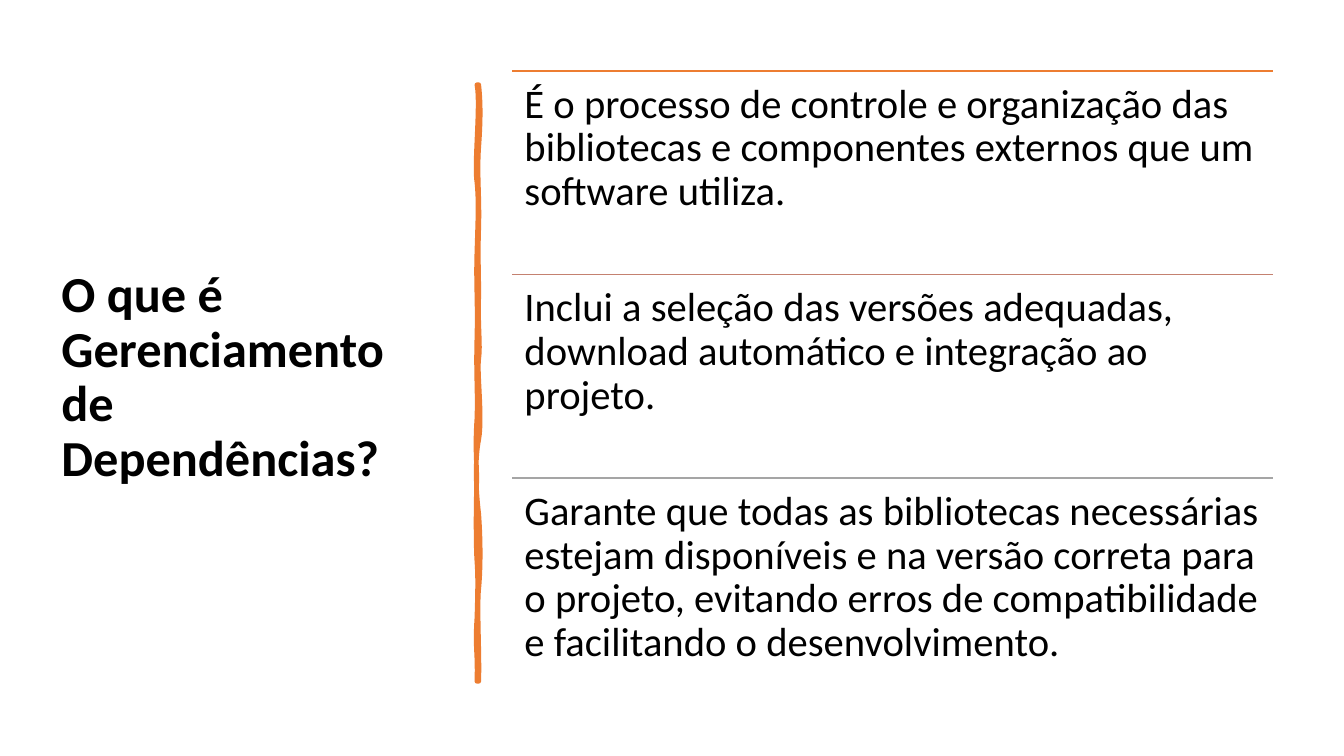
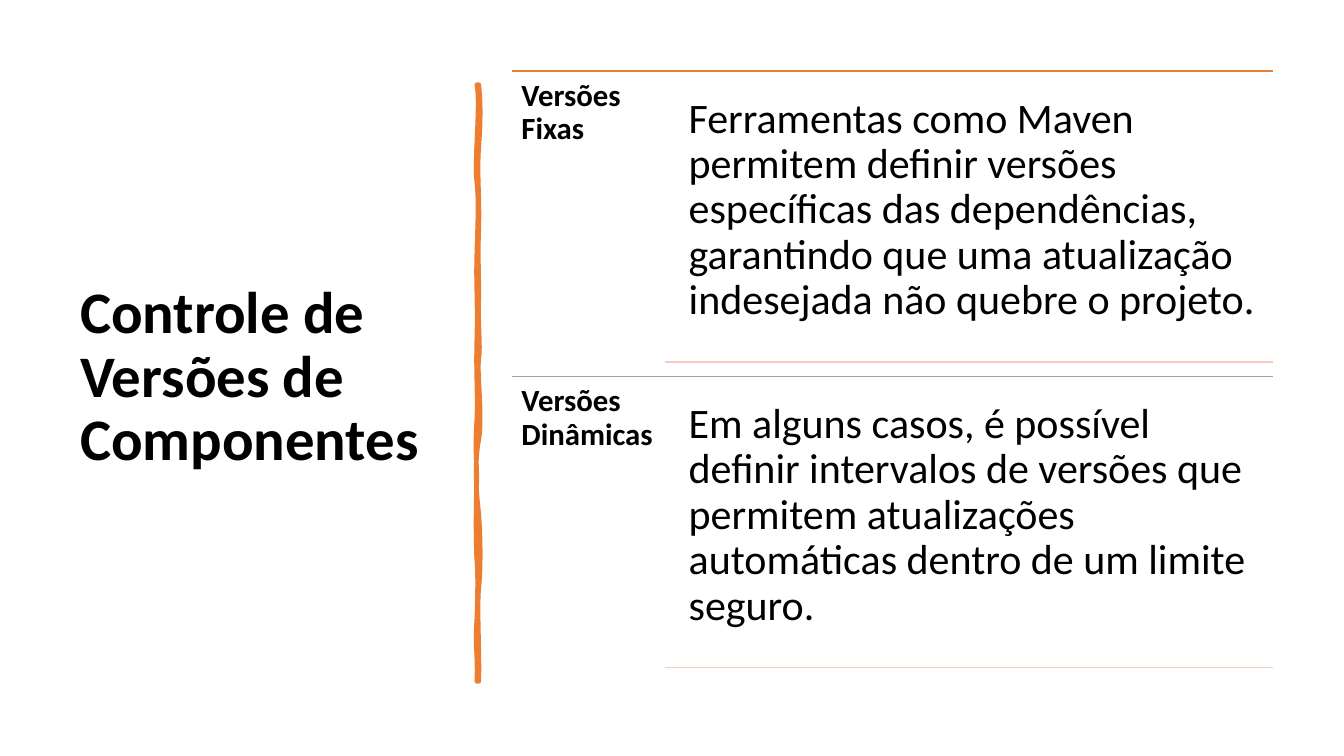
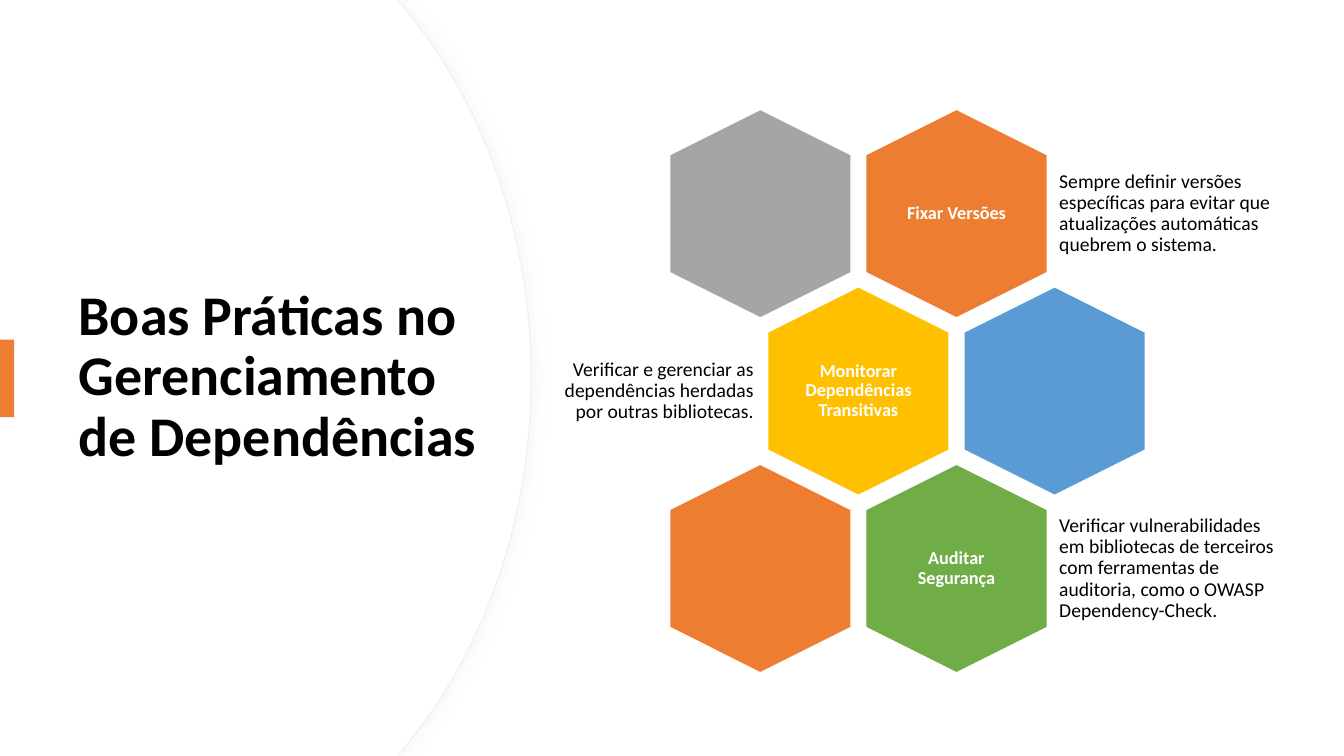
from dataclasses import dataclass
from typing import Optional

from lxml.etree import SubElement
from pptx import Presentation
from pptx.dml.color import RGBColor
from pptx.enum.shapes import MSO_CONNECTOR as Connector
from pptx.enum.shapes import MSO_SHAPE as Preset
from pptx.enum.text import MSO_ANCHOR as Anchor
from pptx.enum.text import MSO_AUTO_SIZE as AutoSize
from pptx.enum.text import PP_ALIGN as Align
from pptx.oxml.ns import qn
from pptx.util import Pt

FONT = "Calibri"
BLACK, WHITE = "000000", "FFFFFF"
ORANGE, GRAY, GOLD, BLUE, GREEN = "ED7D31", "A5A5A5", "FFC000", "5B9BD5", "70AD47"
ROSE, PALE_ROSE = "C48170", "F6CCBE"
SHADOW, DISC_EDGE = "D9D9D9", "EFEFEF"

SLIDE_W, SLIDE_H = 960, 540
TITLE_TOP, TITLE_H = 50.1, 439.92
LIST_LEFT, LIST_TOP, LIST_W, LIST_H = 366, 50.6, 543.4, 436.32
LIST_RIGHT = LIST_LEFT + LIST_W

HEX_W, HEX_H = 149.04, 129.6
HEX_LEFT, HEX_TOP = 543.1, 152.64
HEX_HALF_STEP, HEX_ROW_STEP = 70.05, 126.72
NOTE_H = 89.28

Point = tuple[float, float]
# One point draws a line to it; three are two Bézier controls and an end.
Segment = tuple[Point, ...]

BRUSH_START: Point = (342, 60.5)
BRUSH_SEGMENTS: list[Segment] = [
    ((343.4, 73.4), (343.4, 85.7), (342, 105.1)),
    ((340.6, 124.6), (342.7, 140.4), (342, 162.7)),
    ((341.3, 185), (342, 188.6), (342, 211.7)),
    ((341.3, 234), (343.4, 246.2), (342, 256.3)),
    ((340.6, 266.4), (344.9, 298.1), (342, 313.9)),
    ((339.1, 329), (339.8, 348.5), (342, 367.2)),
    ((343.4, 385.9), (343.4, 406.1), (342, 420.5)),
    ((340.6, 434.2), (342.7, 468), (342, 486.7)),
    ((340.6, 486.7),),
    ((341.3, 465.1), (339.1, 463.7), (340.6, 441.4)),
    ((341.3, 419.8), (341.3, 410.4), (340.6, 401)),
    ((339.8, 391.7), (339.8, 356.4), (340.6, 343.4)),
    ((340.6, 330.5), (339.1, 320.4), (340.6, 298.8)),
    ((341.3, 277.9), (339.8, 268.6), (340.6, 241.2)),
    ((341.3, 214.6), (339.8, 202.3), (340.6, 180)),
    ((341.3, 157), (342, 144), (340.6, 130.3)),
    ((338.4, 117.4), (343.4, 74.9), (340.6, 60.5)),
]


@dataclass(frozen=True)
class Box:
    left: float
    top: float
    width: float
    height: float


@dataclass(frozen=True)
class Style:
    size: float
    color: str = BLACK
    bold: bool = False
    align: Align = Align.LEFT
    anchor: Anchor = Anchor.TOP
    inset: Optional[float] = None


@dataclass(frozen=True)
class Statement:
    text: str
    rule_color: str


@dataclass(frozen=True)
class VersionKind:
    name: str
    text: str
    rule_color: str


@dataclass(frozen=True)
class Note:
    """Text beside a cell; offset runs from the cell's centre to the note's left."""
    text: str
    offset: float = 69.1
    width: float = 166.32
    align: Align = Align.LEFT


@dataclass(frozen=True)
class Cell:
    """A honeycomb cell; column counts half steps from the left."""
    column: int
    row: int
    color: str
    label: str = ""
    note: Optional[Note] = None


STATEMENTS = [
    Statement("É o processo de controle e organização das bibliotecas e "
              "componentes externos que um software utiliza.", ORANGE),
    Statement("Inclui a seleção das versões adequadas, download automático e "
              "integração ao projeto.", ROSE),
    Statement("Garante que todas as bibliotecas necessárias estejam disponíveis e "
              "na versão correta para o projeto, evitando erros de "
              "compatibilidade e facilitando o desenvolvimento.", GRAY),
]
VERSION_KINDS = [
    VersionKind("Versões Fixas",
                "Ferramentas como Maven permitem definir versões específicas das "
                "dependências, garantindo que uma atualização indesejada não "
                "quebre o projeto.", ORANGE),
    VersionKind("Versões Dinâmicas",
                "Em alguns casos, é possível definir intervalos de versões que "
                "permitem atualizações automáticas dentro de um limite seguro.", GRAY),
]
CELLS = [
    Cell(2, 0, ORANGE, "Fixar Versões",
         Note("Sempre definir versões específicas para evitar que atualizações "
              "automáticas quebrem o sistema.")),
    Cell(0, 0, GRAY),
    Cell(1, 1, GOLD, "Monitorar Dependências Transitivas",
         Note("Verificar e gerenciar as dependências herdadas por outras "
              "bibliotecas.", -231.6, 161.28, Align.RIGHT)),
    Cell(3, 1, BLUE),
    Cell(2, 2, GREEN, "Auditar Segurança",
         Note("Verificar vulnerabilidades em bibliotecas de terceiros com "
              "ferramentas de auditoria, como o OWASP Dependency-Check.")),
    Cell(0, 2, ORANGE),
]


def paint(color_format, color: str) -> None:
    color_format.rgb = RGBColor.from_string(color)


def finish(shape, fill: str, line: Optional[str] = None, weight: float = 1) -> None:
    shape.shadow.inherit = False
    shape.fill.solid()
    paint(shape.fill.fore_color, fill)
    if line is None:
        shape.line.fill.background()
    else:
        paint(shape.line.color, line)
        shape.line.width = Pt(weight)


def write(frame, text: str, style: Style) -> None:
    frame.word_wrap = True
    frame.auto_size = AutoSize.NONE
    frame.vertical_anchor = style.anchor
    if style.inset is not None:
        frame.margin_left = frame.margin_right = Pt(style.inset)
        frame.margin_top = frame.margin_bottom = Pt(style.inset)
    paragraph = frame.paragraphs[0]
    paragraph.alignment = style.align
    paragraph.line_spacing = 0.9
    run = paragraph.add_run()
    run.text = text
    run.font.name = FONT
    run.font.size = Pt(style.size)
    run.font.bold = style.bold
    paint(run.font.color, style.color)


def add_text(slide, box: Box, text: str, style: Style) -> None:
    holder = slide.shapes.add_textbox(
        Pt(box.left), Pt(box.top), Pt(box.width), Pt(box.height))
    write(holder.text_frame, text, style)


def set_title(slide, box: Box, text: str, size: float) -> None:
    title = slide.shapes.title
    title.left, title.top = Pt(box.left), Pt(box.top)
    title.width, title.height = Pt(box.width), Pt(box.height)
    write(title.text_frame, text, Style(size, bold=True, anchor=Anchor.MIDDLE))


def add_rule(slide, left: float, y: float, color: str) -> None:
    rule = slide.shapes.add_connector(
        Connector.STRAIGHT, Pt(left), Pt(y), Pt(LIST_RIGHT), Pt(y))
    paint(rule.line.color, color)
    rule.line.width = Pt(1)
    SubElement(rule._element.spPr, qn("a:effectLst"))


def add_outline(slide, start: Point, segments: list[Segment]):
    """Closed outline: drawn through the segment ends, then bent into curves."""
    ends = [(Pt(x), Pt(y)) for x, y in (segment[-1] for segment in segments)]
    builder = slide.shapes.build_freeform(Pt(start[0]), Pt(start[1]))
    builder.add_line_segments(ends, close=True)
    shape = builder.convert_to_shape()
    outline = shape._element.spPr.find(f".//{qn('a:path')}")
    for straight, segment in zip(outline.findall(qn("a:lnTo")), segments):
        if len(segment) == 1:
            continue
        curve = SubElement(outline, qn("a:cubicBezTo"))
        for x, y in segment:
            SubElement(curve, qn("a:pt"),
                       x=str(Pt(x) - shape.left), y=str(Pt(y) - shape.top))
        outline.replace(straight, curve)
    return shape


def add_brush_divider(slide) -> None:
    finish(add_outline(slide, BRUSH_START, BRUSH_SEGMENTS), ORANGE, ORANGE, 3.25)


def add_disc(slide, reach: float):
    """White area on the left whose curved side reaches the given x."""
    shoulder, bend = reach - 90.72, reach - 34.56
    return add_outline(slide, (0, 0), [
        ((283.68, 0),),
        ((shoulder, 5.76),),
        ((bend, 73.44), (reach, 167.04), (reach, SLIDE_H / 2)),
        ((reach, 372.96), (bend, 466.56), (shoulder, 534.24)),
        ((283.68, SLIDE_H),),
        ((0, SLIDE_H),),
    ])


def add_soft_shadow(shape) -> None:
    effects = shape._element.spPr.find(qn("a:effectLst"))
    shadow = SubElement(effects, qn("a:outerShdw"), blurRad=str(Pt(10)),
                        dist=str(Pt(3)), dir="0", algn="l", rotWithShape="0")
    tint = SubElement(shadow, qn("a:srgbClr"), val=SHADOW)
    SubElement(tint, qn("a:alpha"), val="20000")


def add_cell(slide, cell: Cell) -> None:
    x = HEX_LEFT + cell.column * HEX_HALF_STEP
    y = HEX_TOP + cell.row * HEX_ROW_STEP
    hexagon = slide.shapes.add_shape(
        Preset.HEXAGON, Pt(x - HEX_W / 2), Pt(y - HEX_H / 2), Pt(HEX_W), Pt(HEX_H))
    hexagon.adjustments[0] = 0.25
    hexagon.adjustments[1] = 1.1547
    hexagon.rotation = 90
    finish(hexagon, cell.color, WHITE)
    if cell.label:
        add_text(slide, Box(x - 44.64, y - 51.48, 89.28, 102.96), cell.label,
                 Style(13, WHITE, True, Align.CENTER, Anchor.MIDDLE, 3.6))
    if cell.note:
        note = cell.note
        add_text(slide, Box(x + note.offset, y - NOTE_H / 2, note.width, NOTE_H),
                 note.text,
                 Style(14, align=note.align, anchor=Anchor.MIDDLE, inset=4.32))


def build_definition(slide) -> None:
    set_title(slide, Box(36.72, TITLE_TOP, 282.96, TITLE_H),
              "O que é Gerenciamento de Dependências?", 36)
    add_brush_divider(slide)
    row_h = LIST_H / len(STATEMENTS)
    for index, statement in enumerate(STATEMENTS):
        top = LIST_TOP + index * row_h
        add_rule(slide, LIST_LEFT, top, statement.rule_color)
        add_text(slide, Box(LIST_LEFT, top, LIST_W, row_h), statement.text,
                 Style(29, inset=8.64))


def build_versions(slide) -> None:
    set_title(slide, Box(50, TITLE_TOP, 269.28, TITLE_H),
              "Controle de Versões de Componentes", 42)
    add_brush_divider(slide)
    row_h = LIST_H / len(VERSION_KINDS)
    name_w = LIST_W / 5
    text_left, text_h, text_gap = 483.3, 198, 10
    for index, kind in enumerate(VERSION_KINDS):
        top = LIST_TOP + index * row_h
        text_top = top + text_gap
        add_rule(slide, LIST_LEFT, top, kind.rule_color)
        add_text(slide, Box(LIST_LEFT, top, name_w, row_h), kind.name,
                 Style(22, bold=True, inset=6.48))
        add_text(slide, Box(text_left, text_top, LIST_RIGHT - text_left, text_h),
                 kind.text, Style(30, inset=8.64))
        add_rule(slide, LIST_LEFT + name_w, text_top + text_h, PALE_ROSE)


def build_practices(slide) -> None:
    rim = add_disc(slide, 379.44)
    finish(rim, WHITE, DISC_EDGE, 0.75)
    add_soft_shadow(rim)
    finish(add_disc(slide, 378.72), WHITE)
    # The title comes after the disc so that it stays on top.
    slide.shapes._spTree.append(slide.shapes.title._element)
    set_title(slide, Box(48.96, 91.44, 301.68, 356.4),
              "Boas Práticas no Gerenciamento de Dependências", 40)
    tab = slide.shapes.add_shape(
        Preset.RECTANGLE, Pt(0), Pt(242.64), Pt(10.08), Pt(55.44))
    finish(tab, ORANGE)
    for cell in CELLS:
        add_cell(slide, cell)


def main() -> None:
    deck = Presentation()
    deck.slide_width, deck.slide_height = Pt(SLIDE_W), Pt(SLIDE_H)
    title_only = deck.slide_layouts[5]
    for build in (build_definition, build_versions, build_practices):
        build(deck.slides.add_slide(title_only))
    deck.save("out.pptx")


if __name__ == "__main__":
    main()
